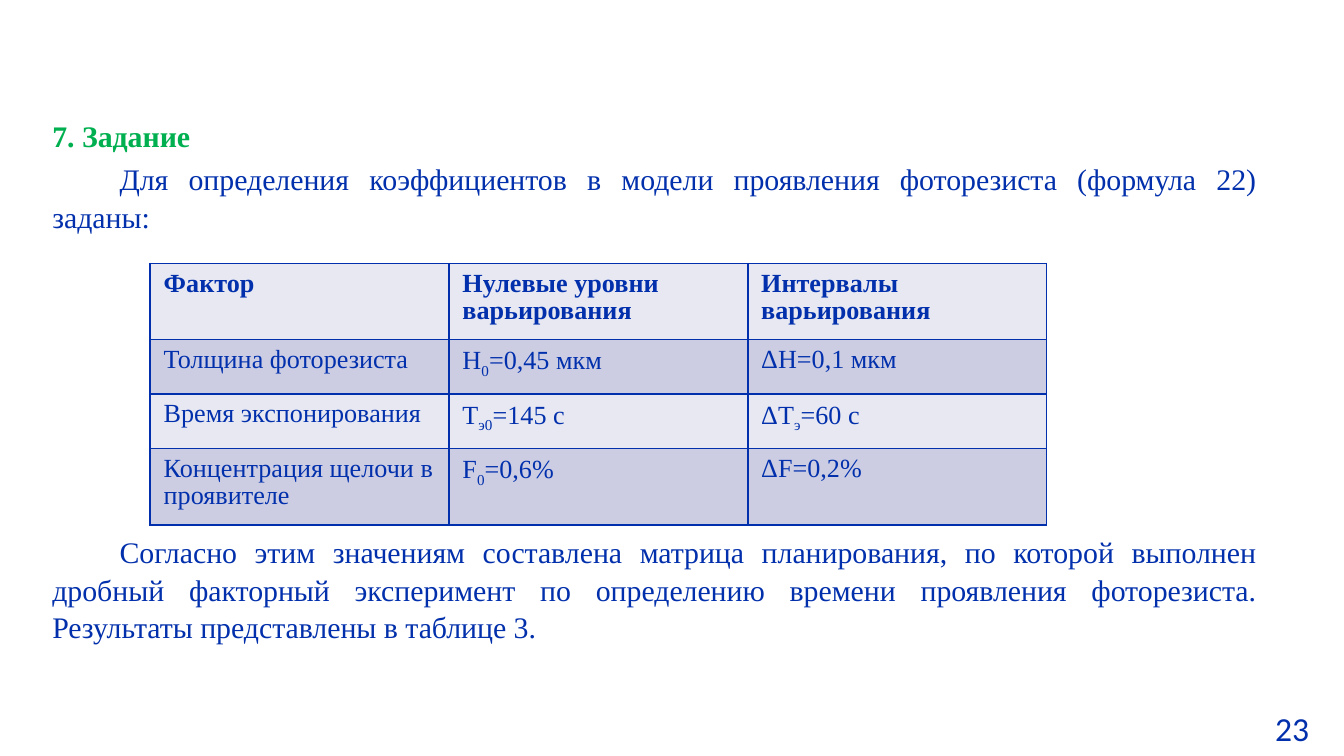
from lxml.etree import SubElement
from pptx import Presentation
from pptx.dml.color import RGBColor
from pptx.enum.text import PP_ALIGN as Align
from pptx.oxml.ns import qn
from pptx.util import Cm, Pt

BLUE = RGBColor(0x02, 0x30, 0xAC)
GREEN = RGBColor(0x00, 0xB0, 0x50)
LIGHT = RGBColor(0xE7, 0xE8, 0xF1)
DARK = RGBColor(0xCC, 0xCD, 0xE3)
SERIF, SANS = "Times New Roman", "Calibri"

HEADING = "7. Задание"
INTRO = ("Для определения коэффициентов в модели проявления фоторезиста "
         "(формула 22) заданы:")
CLOSING = ("Согласно этим значениям составлена матрица планирования, по которой "
           "выполнен дробный факторный эксперимент по определению времени "
           "проявления фоторезиста. Результаты представлены в таблице 3.")

# A cell is a tuple of pieces: base text, subscript, base text
FACTORS = [
    [("Фактор",), ("Нулевые уровни варьирования",), ("Интервалы варьирования",)],
    [("Толщина фоторезиста",), ("H", "0", "=0,45 мкм"), ("ΔН=0,1 мкм",)],
    [("Время экспонирования",), ("Т", "э0", "=145 с"), ("ΔТ", "э", "=60 с")],
    [("Концентрация щелочи в проявителе",), ("F", "0", "=0,6%"), ("ΔF=0,2%",)],
]
ROW_HEIGHTS = [1.44, 1.03, 1.03, 1.44]


def style(span, size, color=BLUE, name=SERIF, bold=False):
    font = span.font
    font.size, font.name, font.bold = Pt(size), name, bold
    font.color.rgb = color


def add_body(page, box):
    """Heading and two indented paragraphs, with room for the table between."""
    frame = page.shapes.add_textbox(*map(Cm, box)).text_frame
    frame.word_wrap = True
    frame.text = "\n".join([HEADING, INTRO, CLOSING])
    gaps = [0, 3.2, 159.6]
    for index, (para, gap) in enumerate(zip(frame.paragraphs, gaps)):
        is_heading = index == 0
        para.alignment = Align.JUSTIFY
        para.line_spacing = 1.05
        para.space_before = Pt(gap)
        if not is_heading:
            para._p.get_or_add_pPr().set("indent", str(Cm(1.27)))
        style(para.runs[0], 16, GREEN if is_heading else BLUE, bold=is_heading)


def add_borders(cell):
    props = cell._tc.get_or_add_tcPr()
    for position, side in enumerate(("a:lnL", "a:lnR", "a:lnT", "a:lnB")):
        line = props.makeelement(qn(side), {"w": str(Pt(1))})
        props.insert(position, line)
        fill = SubElement(line, qn("a:solidFill"))
        SubElement(fill, qn("a:srgbClr"), val=str(BLUE))


def fill_cell(cell, pieces, color, bold):
    cell.fill.solid()
    cell.fill.fore_color.rgb = color
    add_borders(cell)
    para = cell.text_frame.paragraphs[0]
    para.line_spacing = 0.95
    for index, piece in enumerate(pieces):
        span = para.add_run()
        span.text = piece
        style(span, 14, bold=bold)
        if index == 1:
            span.font._element.set("baseline", "-25000")


def add_factor_table(page, box):
    """Zero levels and variation intervals of each factor."""
    columns = len(FACTORS[0])
    table = page.shapes.add_table(len(FACTORS), columns, *map(Cm, box)).table
    for column in table.columns:
        column.width = Cm(box[2] / columns)
    for index, (row, height) in enumerate(zip(table.rows, ROW_HEIGHTS)):
        row.height = Cm(height)
        for cell, pieces in zip(row.cells, FACTORS[index]):
            fill_cell(cell, pieces, DARK if index % 2 else LIGHT, index == 0)


def add_page_number(page, box):
    frame = page.shapes.add_textbox(*map(Cm, box)).text_frame
    frame.word_wrap = True
    frame.text = "23"
    style(frame.paragraphs[0].runs[0], 18, name=SANS)


def main():
    deck = Presentation()
    deck.slide_width, deck.slide_height = Cm(25.4), Cm(14.29)
    page = deck.slides.add_slide(deck.slide_layouts[6])
    # Boxes are left, top, width, height in centimetres
    add_body(page, (0.74, 2.06, 23.27, 10.24))
    add_page_number(page, (23.85, 13.26, 1.5, 1.02))
    add_factor_table(page, (2.84, 4.98, 16.94, sum(ROW_HEIGHTS)))
    deck.save("out.pptx")


if __name__ == "__main__":
    main()
